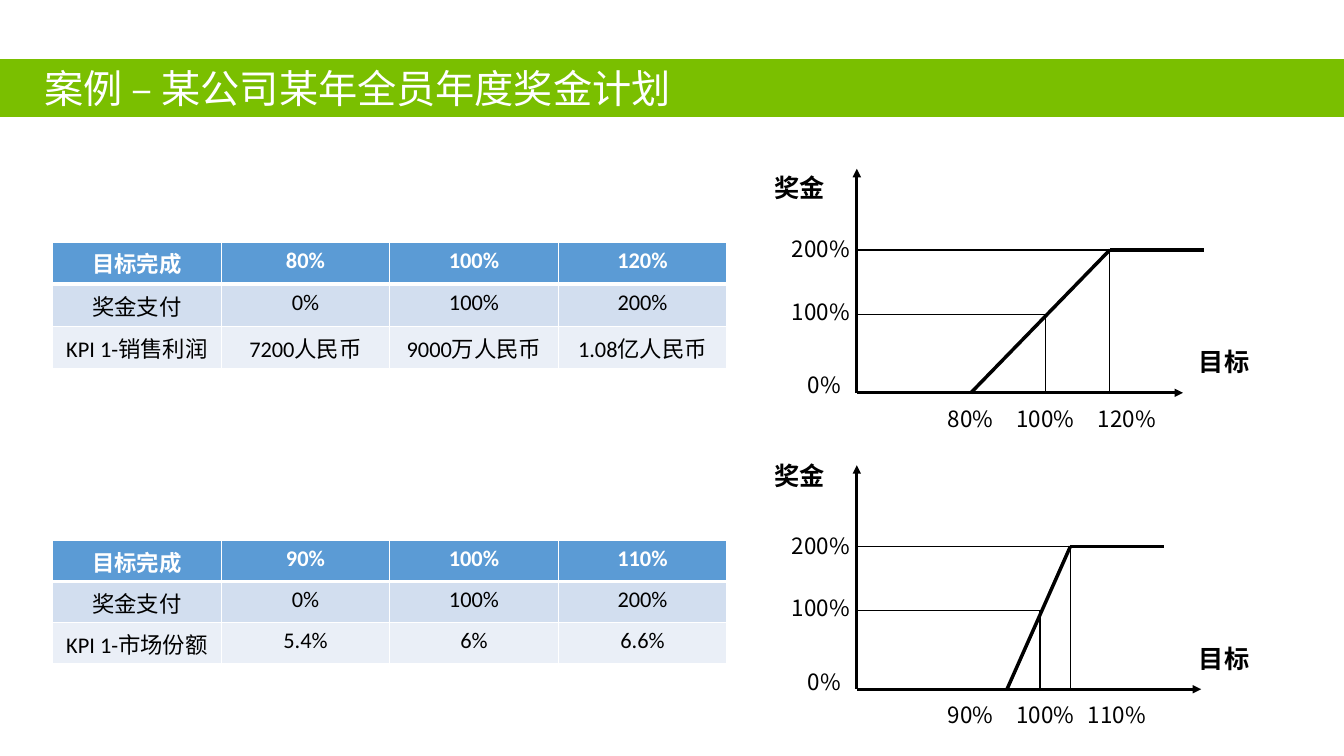
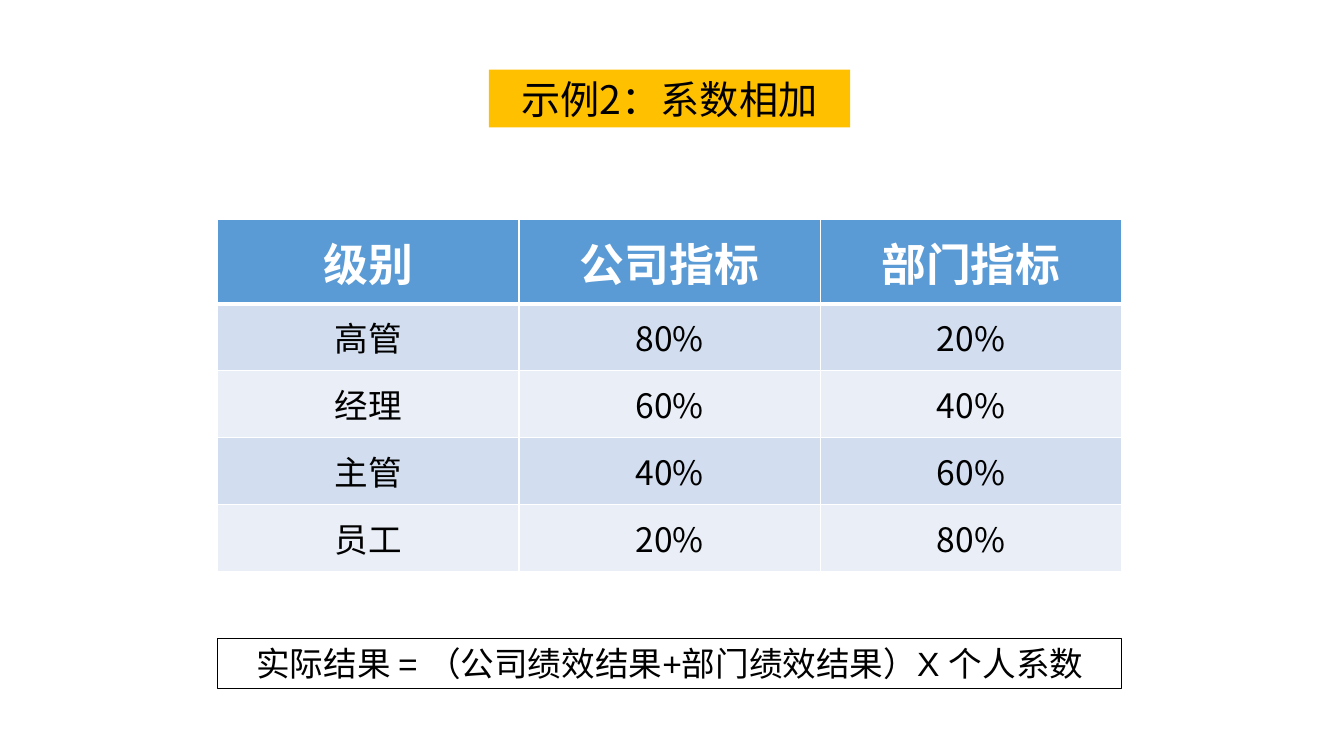
from dataclasses import dataclass

from lxml import etree
from pptx import Presentation
from pptx.dml.color import RGBColor
from pptx.enum import shapes, text
from pptx.oxml.ns import qn
from pptx.util import Pt

CENTER, LEFT = text.PP_ALIGN.CENTER, text.PP_ALIGN.LEFT
TOP, MIDDLE = text.MSO_ANCHOR.TOP, text.MSO_ANCHOR.MIDDLE


@dataclass(frozen=True)
class Theme:
    green: str = "7ABF00"
    amber: str = "FFC000"
    header: str = "5B9BD5"
    bands: tuple = ("D2DEEF", "EAEFF7")
    ink: str = "000000"
    paper: str = "FFFFFF"
    cjk: str = "Noto Sans CJK SC"
    title: int = 28
    heading: int = 32
    body: int = 24
    axis: int = 18
    small: int = 16
    axis_line: float = 2
    curve_line: float = 2.5
    guide_line: float = 1


@dataclass(frozen=True)
class BonusCurve:
    """Axis positions and labels of one payout curve, in points."""
    base: float
    targets: tuple
    labels: tuple
    label_lefts: tuple
    axis_end: float
    name_rise: float


class SlideBuilder:
    def __init__(self, deck, theme):
        self.deck, self.theme, self.page = deck, theme, None

    def new_page(self):
        self.page = self.deck.slides.add_slide(self.deck.slide_layouts[5])

    def set_text(self, frame, words, size, color=None, bold=False, font=None, align=CENTER):
        para = frame.paragraphs[0]
        para.text = words
        para.alignment = align
        para.font.name = font or self.theme.cjk
        para.font.size = Pt(size)
        para.font.bold = bold
        para.font.color.rgb = RGBColor.from_string(color or self.theme.ink)
        defaults = para._p.pPr.find(qn("a:defRPr"))
        etree.SubElement(defaults, qn("a:ea"), typeface=self.theme.cjk)

    def place(self, shape, left, top, width, height):
        shape.left, shape.top, shape.width, shape.height = map(Pt, (left, top, width, height))

    def title(self, words, place, fill, color, align=CENTER, inset=7.2):
        band = self.page.shapes.title
        self.place(band, *place)
        band.fill.solid()
        band.fill.fore_color.rgb = RGBColor.from_string(fill)
        frame = band.text_frame
        frame.auto_size = text.MSO_AUTO_SIZE.NONE
        frame.vertical_anchor = MIDDLE
        frame.margin_left = Pt(inset)
        self.set_text(frame, words, self.theme.title, color, align=align)

    def label(self, words, left, top, size, bold=False):
        box = self.page.shapes.add_textbox(Pt(left), Pt(top), Pt(80.6), Pt(28))
        box.text_frame.word_wrap = True
        self.set_text(box.text_frame, words, size, bold=bold)

    def outlined_box(self, words, place):
        box = self.page.shapes.add_shape(shapes.MSO_SHAPE.RECTANGLE, *map(Pt, place))
        box.shadow.inherit = False
        box.fill.background()
        box.line.color.rgb = RGBColor.from_string(self.theme.ink)
        box.line.width = Pt(0.75)
        box.text_frame.word_wrap = True
        box.text_frame.vertical_anchor = MIDDLE
        self.set_text(box.text_frame, words, self.theme.body, font="Arial")

    def line(self, start, end, width, arrow=False):
        line = self.page.shapes.add_connector(
            shapes.MSO_CONNECTOR.STRAIGHT, *map(Pt, (*start, *end)))
        line.line.color.rgb = RGBColor.from_string(self.theme.ink)
        line.line.width = Pt(width)
        properties = line._element.spPr
        if arrow:
            etree.SubElement(properties.find(qn("a:ln")), qn("a:tailEnd"), type="triangle")
        etree.SubElement(properties, qn("a:effectLst"))

    def cell_borders(self, cell, row):
        widths = {"lnL": 1, "lnR": 1, "lnT": 3 if row == 1 else 1, "lnB": 3 if row == 0 else 1}
        properties = cell._tc.get_or_add_tcPr()
        for side, width in widths.items():
            border = etree.SubElement(properties, qn(f"a:{side}"), w=str(int(Pt(width))))
            fill = etree.SubElement(border, qn("a:solidFill"))
            etree.SubElement(fill, qn("a:srgbClr"), val=self.theme.paper)

    def table(self, rows, place, heights, head_size, size, font=None, anchor=TOP):
        theme = self.theme
        grid = self.page.shapes.add_table(len(rows), len(rows[0]), *map(Pt, place)).table
        for column in grid.columns:
            column.width = Pt(place[2] / len(rows[0]))
        for r, (values, height) in enumerate(zip(rows, heights)):
            grid.rows[r].height = Pt(height)
            head = r == 0
            for c, value in enumerate(values):
                cell = grid.cell(r, c)
                cell.vertical_anchor = anchor
                self.cell_borders(cell, r)
                cell.fill.solid()
                cell.fill.fore_color.rgb = RGBColor.from_string(
                    theme.header if head else theme.bands[(r - 1) % 2])
                self.set_text(cell.text_frame, value, head_size if head else size,
                              theme.paper if head else theme.ink, head, font)

    def bonus_curve(self, curve):
        """Draw axes, guides, the capped payout line and all axis labels."""
        theme, left, base = self.theme, 612, curve.base
        start, middle, cap = curve.targets
        half, full = base - 56, base - 102
        for end in ((left, base - 160), (curve.axis_end, base)):
            self.line((left, base), end, theme.axis_line, arrow=True)
        for x, y in ((middle, half), (cap, full)):
            self.line((left, y), (x, y), theme.guide_line)
            self.line((x, y), (x, base), theme.guide_line)
        self.line((start, base), (cap, full), theme.curve_line)
        self.line((cap, full), (cap + 67, full), theme.curve_line)

        self.label("奖金", 531, base - curve.name_rise, theme.axis, bold=True)
        self.label("目标", 834, base - 36.5, theme.axis, bold=True)
        for words, x, rise in (("200%", 546, 116), ("100%", 546, 71.5), ("0%", 548.5, 18.7)):
            self.label(words, x, base - rise, theme.small)
        for words, x in zip(curve.labels, curve.label_lefts):
            self.label(words, x, base + 5, theme.small)


def bonus_plan(builder):
    theme = builder.theme
    builder.new_page()
    builder.title("案例 – 某公司某年全员年度奖金计划", (0, 42.3, 960, 41.2),
                  theme.green, theme.paper, LEFT, 32)
    plans = (
        (172.8, ("KPI 1-销售利润", "7200人民币", "9000万人民币", "1.08亿人民币"),
         BonusCurve(280.6, (693.5, 746.6, 792.7), ("80%", "100%", "120%"),
                    (653, 706.3, 764.6), 845, 161)),
        (386, ("KPI 1-市场份额", "5.4%", "6%", "6.6%"),
         BonusCurve(492.3, (719.3, 743, 764.6), ("90%", "100%", "110%"),
                    (653, 706.3, 757.4), 858, 167)),
    )
    for top, indicator, curve in plans:
        rows = (("目标完成", *curve.labels), ("奖金支付", "0%", "100%", "200%"), indicator)
        builder.table(rows, (37.6, top, 481.6, 87.9), [29.3] * 3,
                      theme.small, theme.small, "Calibri")
        builder.bonus_curve(curve)


def added_coefficients(builder):
    theme = builder.theme
    builder.new_page()
    builder.title("示例2：系数相加", (349.2, 49.8, 258, 41.2), theme.amber, theme.ink)
    rows = (("级别", "公司指标", "部门指标"), ("高管", "80%", "20%"), ("经理", "60%", "40%"),
            ("主管", "40%", "60%"), ("员工", "20%", "80%"))
    builder.table(rows, (155.6, 156.6, 645.6, 252), [60.4] + [47.8] * 4,
                  theme.heading, theme.body, anchor=MIDDLE)
    builder.outlined_box("实际结果 = （公司绩效结果+部门绩效结果）X 个人系数",
                         (155.6, 455.8, 645.6, 36))


def main():
    deck = Presentation()
    deck.slide_width, deck.slide_height = Pt(960), Pt(540)
    builder = SlideBuilder(deck, Theme())
    bonus_plan(builder)
    added_coefficients(builder)
    deck.save("out.pptx")


if __name__ == "__main__":
    main()
